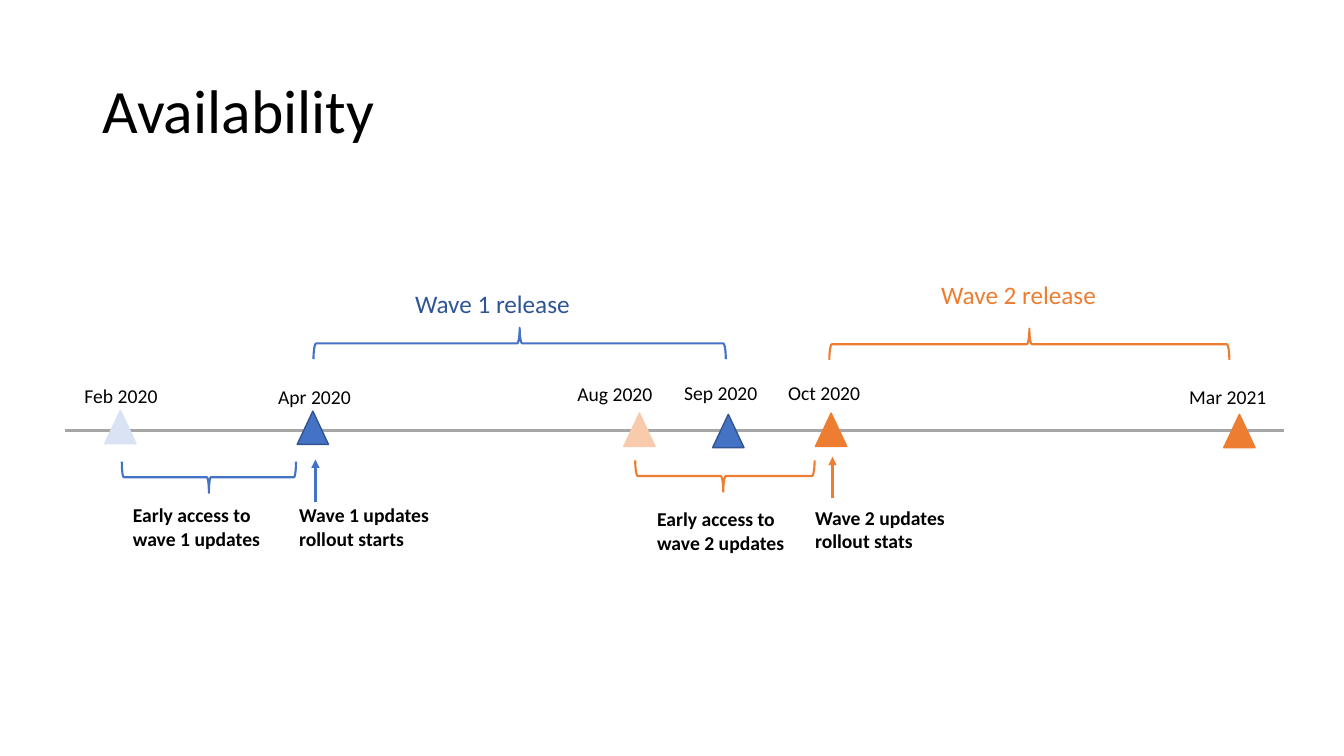
from pptx import Presentation
from pptx.dml.color import RGBColor
from pptx.enum.shapes import MSO_CONNECTOR as Link, MSO_SHAPE as Preset
from pptx.enum.text import MSO_ANCHOR as Anchor, MSO_AUTO_SIZE as Fit, PP_ALIGN as Align
from pptx.oxml.ns import qn
from pptx.util import Cm, Pt
from lxml import etree

BLACK, GREY = "000000", "A6A6A6"
BLUE, DARK_BLUE, NAVY, PALE_BLUE = "4472C4", "325491", "2F5597", "DAE3F3"
ORANGE, PALE_ORANGE = "ED7D31", "F8CBAD"
MARKER_WIDTH, MARKER_HEIGHT = 0.79, 0.84
BRACE_DEPTH = 0.79

TITLE = {"size": Pt(44), "name": "Calibri", "bold": False}
DATE = {"size": Pt(14), "name": "Calibri", "bold": False}
RELEASE = {"size": Pt(18), "name": "Calibri", "bold": False}
NOTE = {"size": Pt(14), "name": "Calibri", "bold": True}

MILESTONES = [
    ("Feb 2020", 1.88, 9.55, 2.64, 10.34, PALE_BLUE, PALE_BLUE),
    ("Apr 2020", 6.76, 9.58, 7.49, 10.36, BLUE, DARK_BLUE),
    ("Aug 2020", 14.3, 9.5, 15.72, 10.41, PALE_ORANGE, PALE_ORANGE),
    ("Sep 2020", 16.99, 9.47, 17.96, 10.44, BLUE, DARK_BLUE),
    ("Oct 2020", 19.61, 9.47, 20.55, 10.41, ORANGE, ORANGE),
    ("Mar 2021", 29.72, 9.58, 30.84, 10.44, ORANGE, ORANGE),
]
BRACES = [
    (3.07, 11.63, 4.39, 270, BLUE, (0.065, 0.5)),
    (16.01, 11.6, 4.52, 270, ORANGE, (0.083, 0.491)),
    (7.9, 8.26, 10.39, 90, BLUE, (0.083, 0.5)),
    (20.9, 8.28, 10.08, 90, ORANGE, (0.083, 0.5)),
]
LABELS = [
    ("Wave 1 release", 10.21, 7.14, 4.85, 1.02, RELEASE, NAVY),
    ("Wave 2 release", 23.47, 6.91, 4.85, 1.02, RELEASE, ORANGE),
    ("Early access to\nwave 1 updates", 3.1, 12.55, 3.99, 1.45, NOTE, BLACK),
    ("Early access to\nwave 2 updates", 16.31, 12.65, 3.99, 1.45, NOTE, BLACK),
    ("Wave 1 updates\nrollout starts", 7.29, 12.55, 5.21, 1.45, NOTE, BLACK),
    ("Wave 2 updates\nrollout stats", 20.29, 12.62, 5.21, 1.45, NOTE, BLACK),
]
ARROWS = [(7.95, 12.65, 11.58, BLUE), (20.98, 12.55, 11.51, ORANGE)]


def paint(colour_format, colour):
    colour_format.rgb = RGBColor.from_string(colour)


def apply(target, values):
    for name, value in values.items():
        setattr(target, name, value)


def style_line(line, colour, width):
    line.fill.solid()
    paint(line.fill.fore_color, colour)
    line.width = Pt(width)


def write(para, text, style, colour):
    for index, words in enumerate(text.split("\n")):
        if index:
            para.add_line_break()
        span = para.add_run()
        span.text = words
        apply(span.font, style)
        paint(span.font.color, colour)


def add_title(page, text):
    title = page.shapes.title
    apply(title, {"left": Cm(2.33), "top": Cm(1.01), "width": Cm(29.21), "height": Cm(3.68)})
    apply(title.text_frame, {"vertical_anchor": Anchor.MIDDLE, "word_wrap": True})
    para = title.text_frame.paragraphs[0]
    apply(para, {"alignment": Align.LEFT, "line_spacing": 0.9})
    write(para, text, TITLE, BLACK)


def add_label(page, text, left, top, width, height, style, colour):
    box = page.shapes.add_textbox(Cm(left), Cm(top), Cm(width), Cm(height))
    apply(box.text_frame, {"word_wrap": True, "auto_size": Fit.SHAPE_TO_FIT_TEXT})
    write(box.text_frame.paragraphs[0], text, style, colour)


def add_marker(page, left, top, fill, outline):
    marker = page.shapes.add_shape(
        Preset.ISOSCELES_TRIANGLE, Cm(left), Cm(top), Cm(MARKER_WIDTH), Cm(MARKER_HEIGHT))
    marker.shadow.inherit = False
    marker.fill.solid()
    paint(marker.fill.fore_color, fill)
    style_line(marker.line, outline, 1)


def add_brace(page, left, top, length, rotation, colour, bends):
    shift = (length - BRACE_DEPTH) / 2
    brace = page.shapes.add_shape(
        Preset.LEFT_BRACE, Cm(left + shift), Cm(top - shift), Cm(BRACE_DEPTH), Cm(length))
    brace.rotation = rotation
    brace.shadow.inherit = False
    brace.fill.background()
    style_line(brace.line, colour, 1.5)
    for index, bend in enumerate(bends):
        brace.adjustments[index] = bend


def add_line(page, start, end, colour, width, arrow=False):
    line = page.shapes.add_connector(
        Link.STRAIGHT, Cm(start[0]), Cm(start[1]), Cm(end[0]), Cm(end[1]))
    style_line(line.line, colour, width)
    properties = line._element.spPr
    if arrow:
        etree.SubElement(properties.find(qn("a:ln")), qn("a:tailEnd"), type="triangle")
    etree.SubElement(properties, qn("a:effectLst"))


def main():
    deck = Presentation()
    apply(deck, {"slide_width": Cm(33.87), "slide_height": Cm(19.05)})
    page = deck.slides.add_slide(deck.slide_layouts[5])
    add_title(page, "Availability")
    add_line(page, (1.65, 10.85), (32.36, 10.85), GREY, 2.25)
    for text, label_left, label_top, left, top, fill, outline in MILESTONES:
        add_marker(page, left, top, fill, outline)
        add_label(page, text, label_left, label_top, 3.1, 0.86, DATE, BLACK)
    for brace in BRACES:
        add_brace(page, *brace)
    for label in LABELS:
        add_label(page, *label)
    for across, bottom, top, colour in ARROWS:
        add_line(page, (across, bottom), (across, top), colour, 1.5, arrow=True)
    deck.save("out.pptx")


if __name__ == "__main__":
    main()
